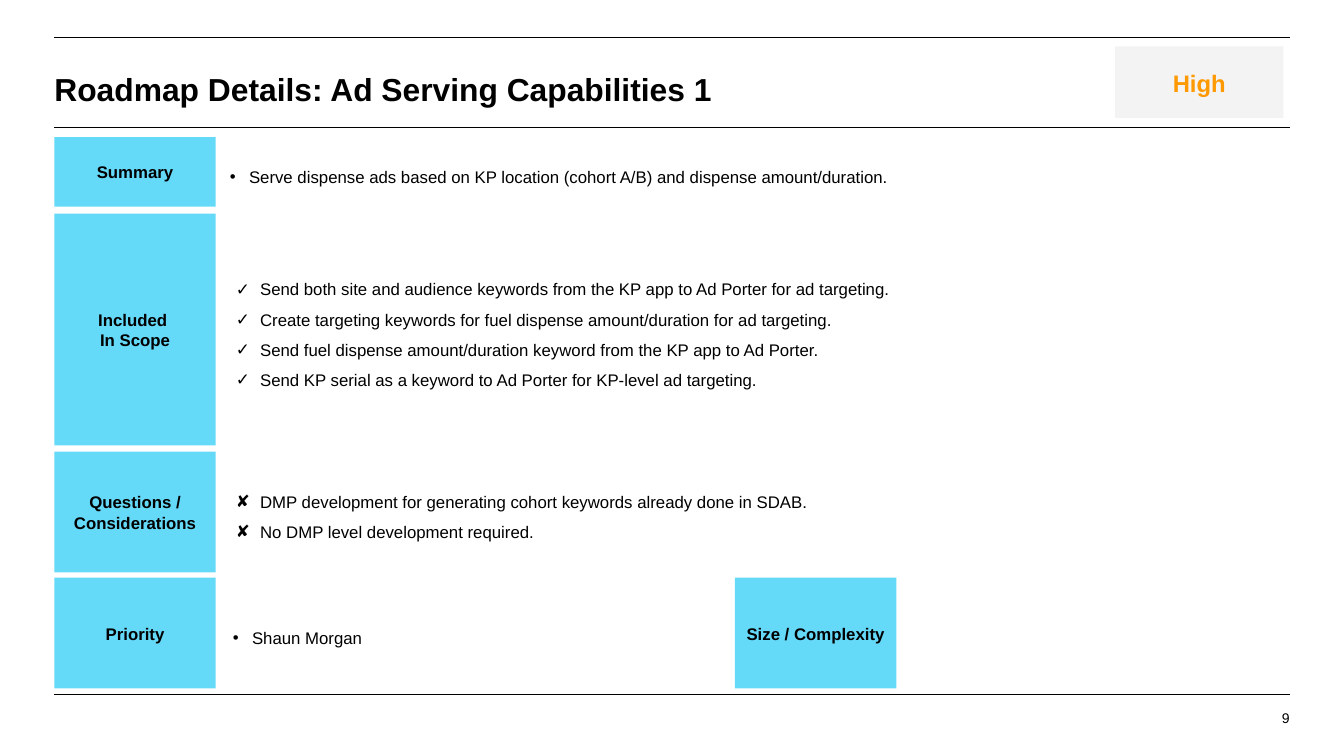
from dataclasses import dataclass

from lxml import etree
from pptx import Presentation
from pptx.dml.color import RGBColor
from pptx.enum import shapes, text
from pptx.oxml.ns import qn
from pptx.util import Inches, Pt


@dataclass(frozen=True)
class Theme:
    font: str = "Arial"
    ink: str = "000000"
    label_fill: str = "65D9F8"
    badge_fill: str = "F3F3F3"
    badge_ink: str = "FF9900"
    title_size: float = 22.7
    badge_size: float = 17
    body_size: float = 12
    number_size: float = 10
    rule_width: float = 0.75
    tight: float = 1.03
    loose: float = 1.5


class RoadmapSlide:
    def __init__(self, presentation, theme):
        self.theme = theme
        self.slide = presentation.slides.add_slide(presentation.slide_layouts[6])

    def rule(self, y, left=0.54, right=12.79):
        line = self.slide.shapes.add_connector(
            shapes.MSO_CONNECTOR.STRAIGHT,
            Inches(left), Inches(y), Inches(right), Inches(y))
        line.line.color.rgb = RGBColor.from_string(self.theme.ink)
        line.line.width = Pt(self.theme.rule_width)
        etree.SubElement(line._element.spPr, qn("a:effectLst"))

    def set_text(self, shape, lines, size, color=None, bold=False, spacing=None,
                 align=text.PP_ALIGN.LEFT, anchor=text.MSO_ANCHOR.MIDDLE,
                 inset=0, bullet=None, indent=0):
        """Fill a shape with one paragraph per line; inset is top and bottom."""
        frame = shape.text_frame
        frame.word_wrap = True
        frame.vertical_anchor = anchor
        frame.margin_left = frame.margin_right = 0
        frame.margin_top = frame.margin_bottom = Inches(inset)
        for index, line in enumerate(lines):
            paragraph = frame.add_paragraph() if index else frame.paragraphs[0]
            paragraph.text = line
            paragraph.alignment = align
            if spacing:
                paragraph.line_spacing = spacing
            if bullet:
                self.add_bullet(paragraph, bullet, indent)
            font = paragraph.font
            font.name = self.theme.font
            font.size = Pt(size)
            font.bold = bold
            font.color.rgb = RGBColor.from_string(color or self.theme.ink)

    def add_bullet(self, paragraph, mark, indent):
        properties = paragraph._p.get_or_add_pPr()
        properties.set("marL", str(Inches(indent)))
        properties.set("indent", str(-Inches(indent - 0.01)))
        color = etree.SubElement(properties, qn("a:buClr"))
        etree.SubElement(color, qn("a:srgbClr"), val=self.theme.ink)
        etree.SubElement(properties, qn("a:buFont"), typeface=self.theme.font)
        etree.SubElement(properties, qn("a:buChar"), char=mark)

    def text_box(self, box, lines, size, **style):
        shape = self.slide.shapes.add_textbox(*map(Inches, box))
        self.set_text(shape, lines, size, **style)

    def bullets(self, box, lines, mark, indent):
        self.text_box(box, lines, self.theme.body_size, spacing=self.theme.loose,
                      inset=0.1, bullet=mark, indent=indent)

    def panel(self, box, lines, fill, size, color=None):
        shape = self.slide.shapes.add_shape(
            shapes.MSO_SHAPE.RECTANGLE, *map(Inches, box))
        shape.shadow.inherit = False
        shape.fill.solid()
        shape.fill.fore_color.rgb = RGBColor.from_string(fill)
        shape.line.fill.background()
        self.set_text(shape, lines, size, color=color, bold=True, inset=0.15,
                      spacing=self.theme.tight, align=text.PP_ALIGN.CENTER)

    def label(self, left, top, height, lines):
        self.panel((left, top, 1.6, height), lines,
                   self.theme.label_fill, self.theme.body_size)


# label lines, top, height, bullet mark, indent, text left, text width, items
SECTIONS = [
    (["Summary"], 1.36, 0.69, "•", 0.2, 2.27, 10.47, [
        "Serve dispense ads based on KP location (cohort A/B) and dispense amount/duration.",
    ]),
    (["Included ", "In Scope"], 2.12, 2.3, "✓", 0.25, 2.33, 10.47, [
        "Send both site and audience keywords from the KP app to Ad Porter for ad targeting.",
        "Create targeting keywords for fuel dispense amount/duration for ad targeting.",
        "Send fuel dispense amount/duration keyword from the KP app to Ad Porter.",
        "Send KP serial as a keyword to Ad Porter for KP-level ad targeting.",
    ]),
    (["Questions / Considerations"], 4.48, 1.2, "✘", 0.25, 2.33, 10.4, [
        "DMP development for generating cohort keywords already done in SDAB.",
        "No DMP level development required.",
    ]),
    (["Priority"], 5.73, 1.1, "•", 0.2, 2.3, 4.73, ["Shaun Morgan"]),
]


def main():
    presentation = Presentation()
    presentation.slide_width = Inches(13.33)
    presentation.slide_height = Inches(7.5)
    theme = Theme()
    roadmap = RoadmapSlide(presentation, theme)

    for y in (0.37, 1.27, 6.89):
        roadmap.rule(y)
    roadmap.text_box((0.54, 0.52, 12.26, 0.71),
                     ["Roadmap Details: Ad Serving Capabilities 1"],
                     theme.title_size, bold=True, spacing=theme.tight)
    roadmap.text_box((10.99, 7.04, 1.8, 0.32), ["9"], theme.number_size,
                     align=text.PP_ALIGN.RIGHT, anchor=text.MSO_ANCHOR.TOP)

    for heading, top, height, mark, indent, left, width, items in SECTIONS:
        roadmap.label(0.54, top, height, heading)
        roadmap.bullets((left, top, width, height), items, mark, indent)
    roadmap.label(7.29, 5.73, 1.1, ["Size / Complexity"])
    roadmap.panel((11.06, 0.46, 1.67, 0.71), ["High"], theme.badge_fill,
                  theme.badge_size, theme.badge_ink)

    presentation.save("out.pptx")


if __name__ == "__main__":
    main()
